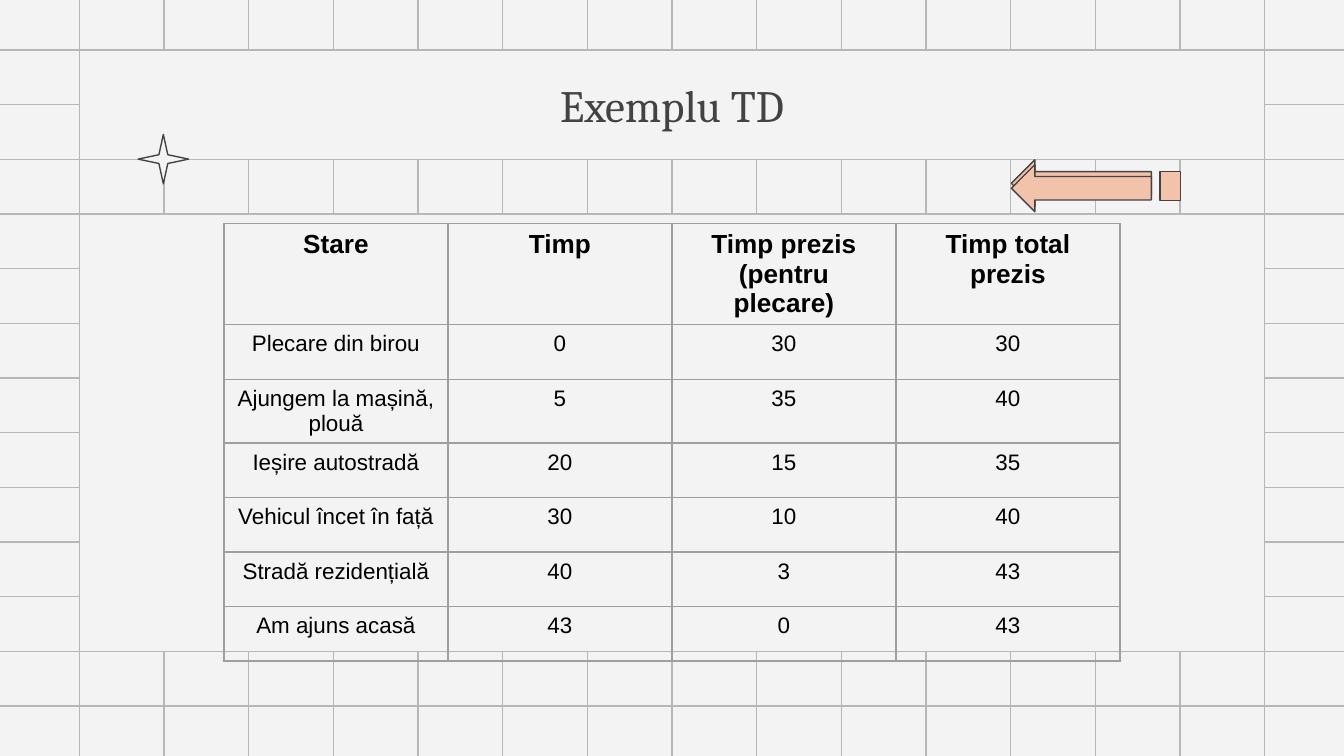
from typing import NamedTuple

from lxml.etree import SubElement
from pptx import Presentation
from pptx.dml.color import RGBColor
from pptx.enum.shapes import MSO_CONNECTOR, MSO_SHAPE
from pptx.enum.text import MSO_ANCHOR, PP_ALIGN
from pptx.oxml.ns import qn
from pptx.util import Pt

COLORS = {
    "paper": "F3F3F3",
    "grid": "B7B7B7",
    "ink": "434343",
    "peach": "F2C2AB",
    "border": "9E9E9E",
    "text": "000000",
}
WIDTH, HEIGHT = 720, 405
MID_X, MID_Y = WIDTH / 2, HEIGHT / 2
STEP_X, STEP_Y = 45.36, 29.28
BLEED = 2.6
PANEL_X, PANEL_W = 42.48, 635.04
THIN = 0.75

ROWS = [
    ("Stare", "Timp", "Timp prezis (pentru plecare)", "Timp total prezis"),
    ("Plecare din birou", "0", "30", "30"),
    ("Ajungem la mașină, plouă", "5", "35", "40"),
    ("Ieșire autostradă", "20", "15", "35"),
    ("Vehicul încet în față", "30", "10", "40"),
    ("Stradă rezidențială", "40", "3", "43"),
    ("Am ajuns acasă", "43", "0", "43"),
]


class Item(NamedTuple):
    kind: MSO_SHAPE
    left: float
    top: float
    width: float
    height: float
    fill: str
    line: str
    turn: float = 0
    adjust: tuple[float, ...] = ()


PANEL = Item(MSO_SHAPE.RECTANGLE, PANEL_X, 114.8, PANEL_W, 234.2, "paper", "grid")
STAR = Item(MSO_SHAPE.STAR_4_POINT, 74, 72, 27, 26.5, "paper", "ink", 0, (0.125,))
ARROW = [
    Item(MSO_SHAPE.UP_ARROW, 566.7, 60.7, 25.2, 75, "peach", "ink", 270, (0.5, 0.5)),
    Item(MSO_SHAPE.RECTANGLE, 621.5, 91.8, 11, 15.6, "peach", "ink", 180),
    Item(MSO_SHAPE.UP_ARROW, 566.7, 63.3, 25.2, 75, "peach", "ink", 270, (0.5, 0.5)),
]


def color(name: str) -> RGBColor:
    return RGBColor.from_string(COLORS[name])


def paint(shape, fill: str, line: str) -> None:
    shape.fill.solid()
    shape.fill.fore_color.rgb = color(fill)
    shape.line.color.rgb = color(line)
    shape.line.width = Pt(THIN)


def draw_item(shapes, item: Item) -> None:
    shape = shapes.add_shape(item.kind, Pt(item.left), Pt(item.top),
                             Pt(item.width), Pt(item.height))
    shape.shadow.inherit = False
    shape.rotation = item.turn
    for index, value in enumerate(item.adjust):
        shape.adjustments[index] = value
    paint(shape, item.fill, item.line)


def draw_line(shapes, x1: float, y1: float, x2: float, y2: float) -> None:
    line = shapes.add_connector(MSO_CONNECTOR.STRAIGHT, Pt(x1), Pt(y1), Pt(x2), Pt(y2))
    line.line.color.rgb = color("grid")
    line.line.width = Pt(THIN)
    SubElement(line.element.spPr, qn("a:effectLst"))


def draw_grid(shapes) -> None:
    """Draw the mesh in halves that meet at the slide's centre."""
    for start, end in ((-BLEED, MID_Y), (MID_Y, HEIGHT + BLEED)):
        for col in range(-7, 8):
            x = MID_X + col * STEP_X
            draw_line(shapes, x, start, x, end)
    for start, end in ((-BLEED, MID_X), (MID_X, WIDTH + BLEED)):
        for row in range(-6, 7):
            y = MID_Y + row * STEP_Y
            draw_line(shapes, start, y, end, y)


def set_title(slide) -> None:
    title = slide.shapes.title
    title.left, title.top = Pt(PANEL_X), Pt(26.8)
    title.width, title.height = Pt(PANEL_W), Pt(58.6)
    paint(title, "paper", "grid")
    frame = title.text_frame
    frame.text = "Exemplu TD"
    frame.word_wrap = True
    frame.vertical_anchor = MSO_ANCHOR.MIDDLE
    frame.margin_left = frame.margin_right = Pt(7.2)
    frame.margin_top = frame.margin_bottom = Pt(7.2)
    para = frame.paragraphs[0]
    para.alignment = PP_ALIGN.CENTER
    para.font.name, para.font.size = "Cambria", Pt(24)
    para.font.color.rgb = color("ink")
    # The title sits above the grid, so it goes last in the tree so far.
    title.element.getparent().append(title.element)


def set_border(cell) -> None:
    props = cell._tc.get_or_add_tcPr()
    for index, side in enumerate(("lnL", "lnR", "lnT", "lnB")):
        line = props.makeelement(qn(f"a:{side}"), {"w": str(Pt(THIN))})
        fill = SubElement(line, qn("a:solidFill"))
        SubElement(fill, qn("a:srgbClr"), val=COLORS["border"])
        props.insert(index, line)


def draw_table(shapes) -> None:
    table = shapes.add_table(len(ROWS), len(ROWS[0]), Pt(120), Pt(119.6),
                             Pt(480), Pt(29.2 * len(ROWS))).table
    table.first_row = table.horz_banding = False
    for r, row in enumerate(ROWS):
        table.rows[r].height = Pt(29.2)
        for c, text in enumerate(row):
            cell = table.cell(r, c)
            cell.text = text
            cell.fill.background()
            set_border(cell)
            para = cell.text_frame.paragraphs[0]
            para.alignment = PP_ALIGN.CENTER
            para.font.name = "Arial"
            para.font.size = Pt(12 if r else 14)
            para.font.bold = r == 0
            para.font.color.rgb = color("text")


def main() -> None:
    deck = Presentation()
    deck.slide_width, deck.slide_height = Pt(WIDTH), Pt(HEIGHT)
    slide = deck.slides.add_slide(deck.slide_layouts[5])
    slide.background.fill.solid()
    slide.background.fill.fore_color.rgb = color("paper")
    draw_grid(slide.shapes)
    draw_item(slide.shapes, PANEL)
    set_title(slide)
    draw_item(slide.shapes, STAR)
    group = slide.shapes.add_group_shape()
    for item in ARROW:
        draw_item(group.shapes, item)
    draw_table(slide.shapes)
    deck.save("out.pptx")


if __name__ == "__main__":
    main()
